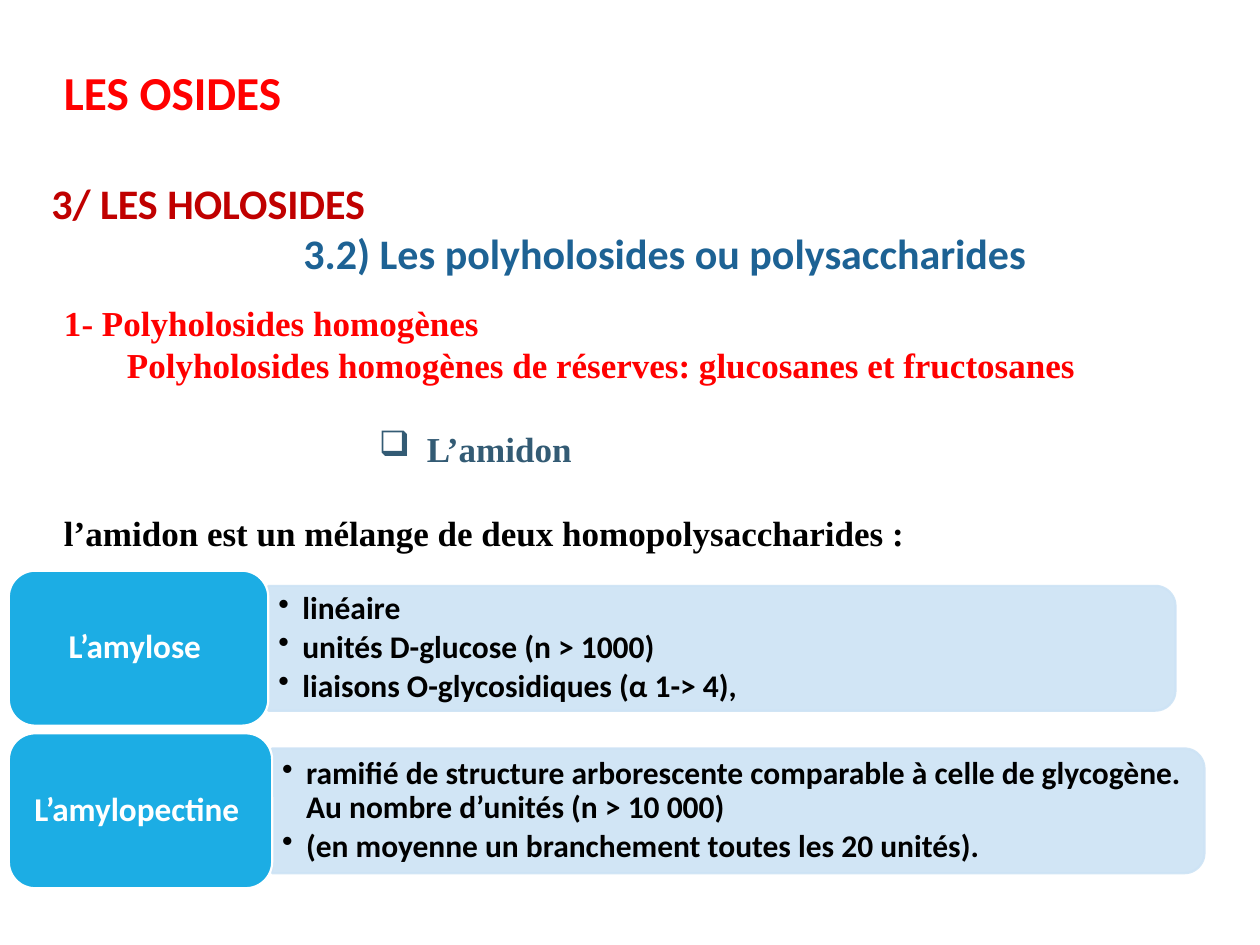
from math import cos, pi, sin

from lxml.etree import SubElement
from pptx import Presentation
from pptx.dml.color import RGBColor
from pptx.enum.shapes import MSO_SHAPE as Preset
from pptx.enum.text import MSO_ANCHOR as Anchor, PP_ALIGN as Align
from pptx.oxml.ns import qn
from pptx.util import Inches, Pt

RED = RGBColor(0xFF, 0x00, 0x00)
DARK_RED = RGBColor(0xC0, 0x00, 0x00)
BLUE = RGBColor(0x1D, 0x62, 0x94)
SLATE = RGBColor(0x33, 0x5B, 0x74)
BLACK = RGBColor(0x00, 0x00, 0x00)
WHITE = RGBColor(0xFF, 0xFF, 0xFF)
LABEL_BLUE = RGBColor(0x1C, 0xAD, 0xE4)
PANEL_BLUE = RGBColor(0xCD, 0xE3, 0xF5)

SANS = "Calibri"
SERIF = "Times New Roman"
LABEL_LEFT = 0.07
LABEL_HEIGHT = 1.23
PANEL_HEIGHT = 0.99
CORNER_RADIUS = 0.16
SERIF_LINE = Pt(24)


def set_indent(paragraph, left, hanging=0, bullet=None):
    properties = paragraph._p.get_or_add_pPr()
    properties.set("marL", str(Inches(left)))
    properties.set("indent", str(-Inches(hanging)))
    if bullet:
        SubElement(properties, qn("a:buChar")).set("char", bullet)


def add_paragraph(frame, text, font, size, color):
    """Write into the empty first paragraph, or append a new one."""
    first = frame.paragraphs[0]
    paragraph = frame.add_paragraph() if first.runs else first
    paragraph.add_run().text = text
    paragraph.font.name = font
    paragraph.font.size = Pt(size)
    paragraph.font.bold = True
    paragraph.font.color.rgb = color
    return paragraph


def add_text_frame(slide, left, top, width, height):
    box = slide.shapes.add_textbox(Inches(left), Inches(top), Inches(width), Inches(height))
    box.text_frame.word_wrap = True
    return box.text_frame


def style_shape(shape, fill, line, side_insets, vertical_inset):
    shape.shadow.inherit = False
    shape.fill.solid()
    shape.fill.fore_color.rgb = fill
    shape.line.color.rgb = line
    shape.line.width = Pt(1.25)
    frame = shape.text_frame
    frame.word_wrap = True
    frame.vertical_anchor = Anchor.MIDDLE
    frame.margin_left, frame.margin_right = (Inches(inset) for inset in side_insets)
    frame.margin_top = frame.margin_bottom = Inches(vertical_inset)


def make_translucent(shape, percent):
    for color in shape._element.spPr.iter(qn("a:srgbClr")):
        SubElement(color, qn("a:alpha")).set("val", str(percent * 1000))


def corner_points(center_x, center_y, start_angle, steps=12):
    angles = [start_angle + pi / 2 * step / steps for step in range(steps + 1)]
    return [(center_x + CORNER_RADIUS * cos(angle), center_y + CORNER_RADIUS * sin(angle))
            for angle in angles]


def add_panel(slide, left, top, width, items):
    """Panel with only its right-hand corners rounded."""
    right, bottom = left + width, top + PANEL_HEIGHT
    outline = (corner_points(right - CORNER_RADIUS, top + CORNER_RADIUS, -pi / 2)
               + corner_points(right - CORNER_RADIUS, bottom - CORNER_RADIUS, 0)
               + [(left, bottom)])
    builder = slide.shapes.build_freeform(Inches(left), Inches(top), scale=1.0)
    builder.add_line_segments([(Inches(x), Inches(y)) for x, y in outline], close=True)
    panel = builder.convert_to_shape()
    style_shape(panel, PANEL_BLUE, PANEL_BLUE, (0.08, 0.12), 0.09)
    make_translucent(panel, 90)
    for item in items:
        paragraph = add_paragraph(panel.text_frame, item, SANS, 18, BLACK)
        paragraph.alignment = Align.LEFT
        paragraph.line_spacing = 0.9
        paragraph.space_after = Pt(2.7)
        set_indent(paragraph, 0.19, 0.19, "•")


def add_label(slide, top, width, text):
    label = slide.shapes.add_shape(Preset.ROUNDED_RECTANGLE, Inches(LABEL_LEFT), Inches(top),
                                   Inches(width), Inches(LABEL_HEIGHT))
    label.adjustments[0] = 0.17
    style_shape(label, LABEL_BLUE, WHITE, (0.14, 0.14), 0.1)
    paragraph = add_paragraph(label.text_frame, text, SANS, 19, WHITE)
    paragraph.alignment = Align.CENTER
    paragraph.line_spacing = 0.9
    paragraph.space_after = Pt(6.65)


def add_component(slide, top, label_width, panel_width, name, items):
    panel_top = top + (LABEL_HEIGHT - PANEL_HEIGHT) / 2
    add_panel(slide, LABEL_LEFT + label_width, panel_top, panel_width, items)
    add_label(slide, top, label_width, name)


def add_headings(slide):
    title = add_text_frame(slide, 0.41, 0.45, 8.87, 0.56)
    add_paragraph(title, "LES OSIDES", SANS, 27, RED)
    section = add_text_frame(slide, 0.31, 1.36, 8.77, 1.31)
    add_paragraph(section, "3/ LES HOLOSIDES", SANS, 24, DARK_RED)
    subsection = add_paragraph(section, "3.2) Les polyholosides ou polysaccharides",
                               SANS, 24, BLUE)
    set_indent(subsection, 2)


def add_introduction(slide):
    frame = add_text_frame(slide, 0.41, 2.34, 9.43, 4.14)
    add_paragraph(frame, "1- Polyholosides homogènes", SERIF, 20, RED)
    reserves = add_paragraph(
        frame, "Polyholosides homogènes de réserves: glucosanes et fructosanes", SERIF, 20, RED)
    set_indent(reserves, 0.5)
    starch = add_paragraph(frame, "L’amidon", SERIF, 20, SLATE)
    set_indent(starch, 2.88, 0.38, "❑")
    mixture = add_paragraph(
        frame, "l’amidon est un mélange de deux homopolysaccharides :", SERIF, 20, BLACK)
    for paragraph in frame.paragraphs:
        paragraph.line_spacing = SERIF_LINE
    for paragraph in (starch, mixture):
        paragraph.space_before = SERIF_LINE


def main():
    presentation = Presentation()
    presentation.slide_width, presentation.slide_height = Inches(10), Inches(7.5)
    slide = presentation.slides.add_slide(presentation.slide_layouts[6])
    add_headings(slide)
    add_introduction(slide)
    add_component(slide, 4.53, 2.06, 7.2, "L’amylose ", [
        "linéaire",
        "unités D-glucose (n > 1000)",
        "liaisons O-glycosidiques (α 1-> 4),",
    ])
    add_component(slide, 5.82, 2.09, 7.4, "L’amylopectine ", [
        "ramifié de structure arborescente comparable à celle de glycogène. "
        "Au nombre d’unités (n > 10 000)",
        "(en moyenne un branchement toutes les 20 unités).",
    ])
    presentation.save("out.pptx")


if __name__ == "__main__":
    main()
